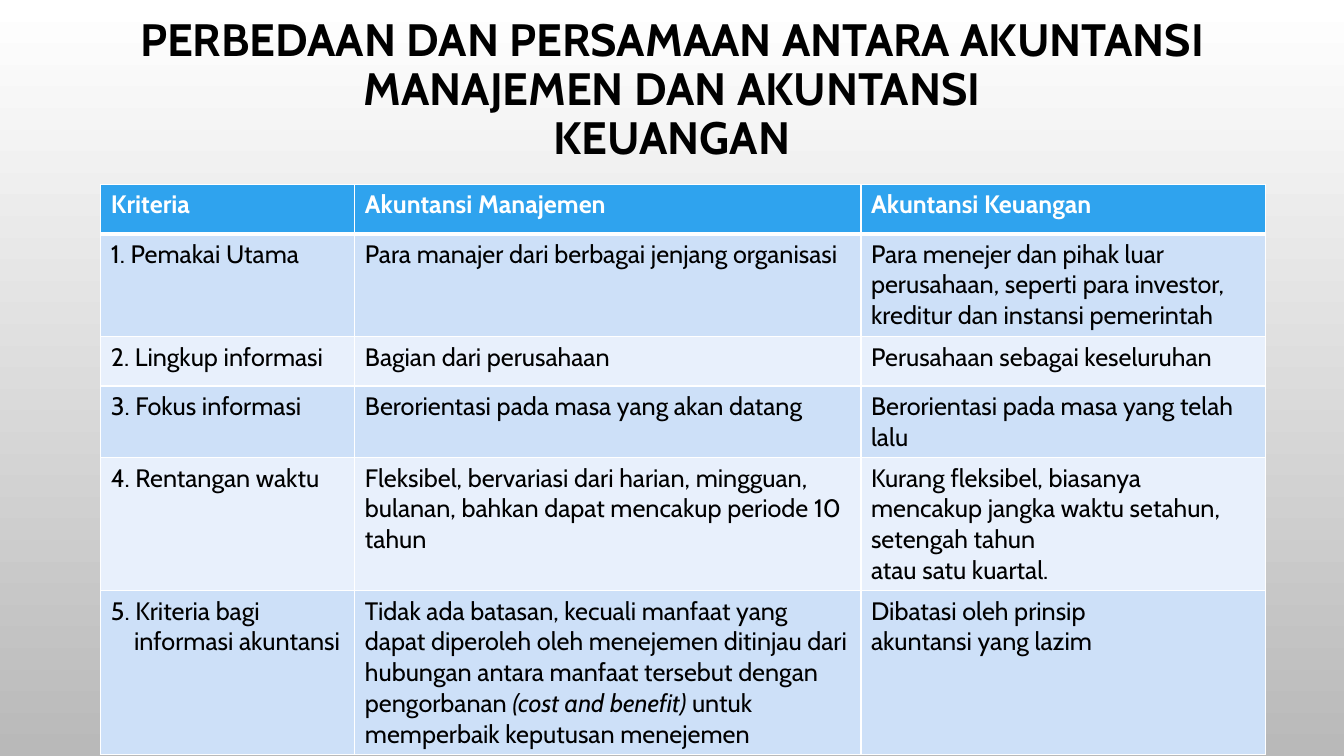
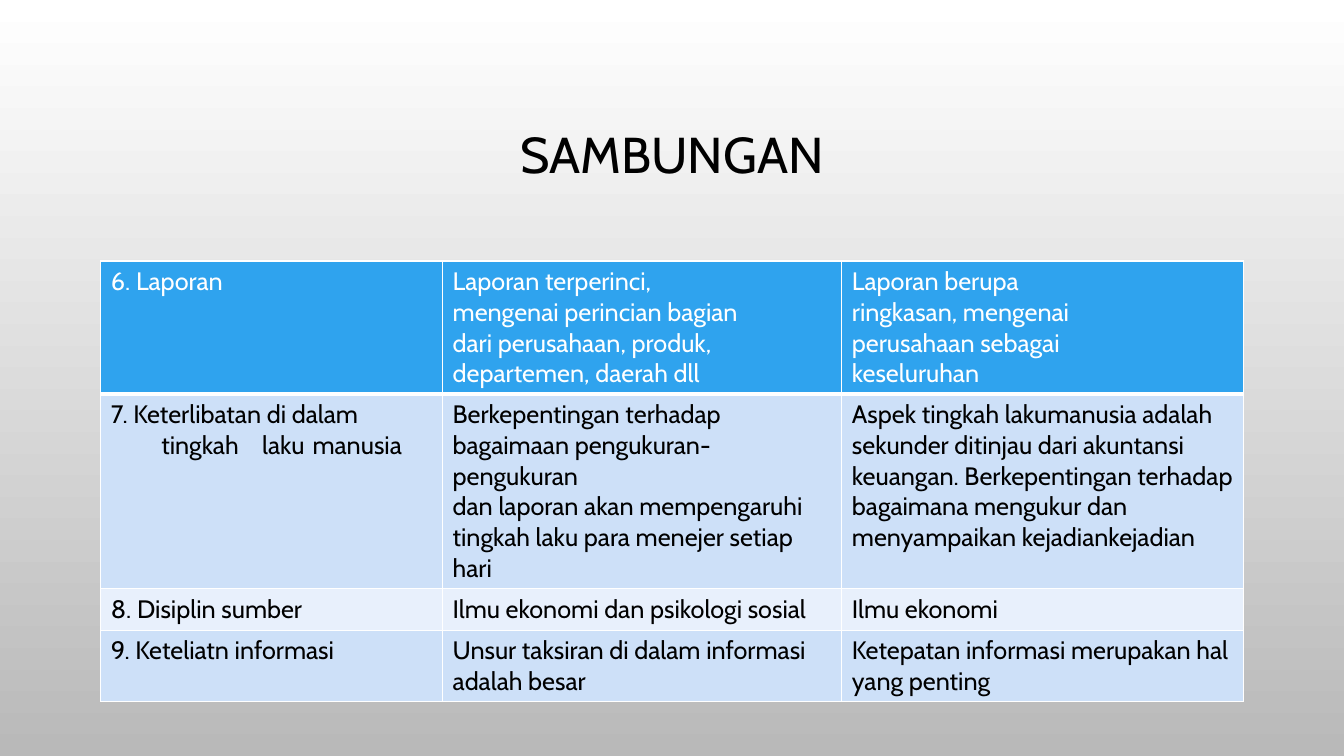
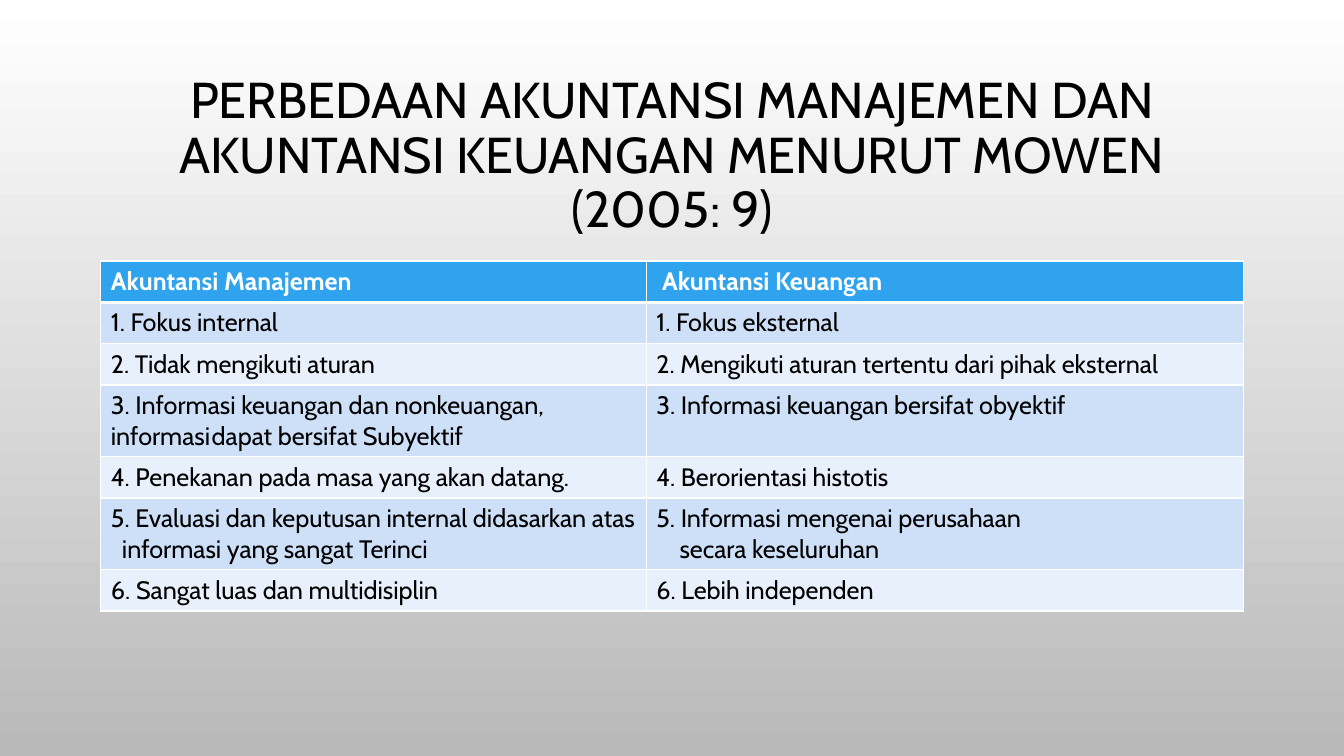
from dataclasses import dataclass

from lxml.etree import SubElement
from pptx import Presentation
from pptx.dml.color import RGBColor
from pptx.enum.text import MSO_ANCHOR, MSO_AUTO_SIZE, PP_ALIGN
from pptx.oxml.ns import qn
from pptx.util import Inches, Pt


@dataclass(frozen=True)
class Theme:
    """Colours, font and type sizes of the whole deck."""
    font: str = "Cabin"
    ink: str = "000000"
    paper: str = "FFFFFF"
    shade: str = "B9B9B9"
    header: str = "2FA3EE"
    bands: tuple = ("CDE0F8", "E8F0FC")
    title_size: float = 36
    long_title_size: float = 32.4
    table_size: float = 18
    rule: float = 1
    header_rule: float = 3


@dataclass(frozen=True)
class Line:
    """A table paragraph with its indents and tab stops in inches."""
    text: str
    left: float = 0
    first: float = 0
    tabs: tuple = ()


def apply(target, values):
    for name, value in values.items():
        setattr(target, name, value)


class Deck:
    def __init__(self, theme):
        self.theme = theme
        self.slide = None
        self.presentation = Presentation()
        apply(self.presentation, {"slide_width": Inches(13.33),
                                  "slide_height": Inches(7.5)})
        self.paint_background()

    def paint_background(self):
        fill = self.presentation.slide_master.background.fill
        fill.gradient()
        fill.gradient_angle = 270
        for stop, colour in zip(fill.gradient_stops,
                                (self.theme.paper, self.theme.shade)):
            stop.color.rgb = RGBColor.from_string(colour)

    def style_font(self, font, size, colour, **extra):
        apply(font, {"name": self.theme.font, "size": Pt(size), **extra})
        font.color.rgb = RGBColor.from_string(colour)

    def add_slide(self, heading, top=0.68, height=1.75, size=None, bold=False):
        layout = self.presentation.slide_layouts.get_by_name("Title Only")
        self.slide = self.presentation.slides.add_slide(layout)
        title = self.slide.shapes.title
        apply(title, {"left": Inches(1), "top": Inches(top),
                      "width": Inches(11.33), "height": Inches(height)})
        frame = title.text_frame
        frame.text = heading
        apply(frame, {"word_wrap": True, "auto_size": MSO_AUTO_SIZE.NONE,
                      "vertical_anchor": MSO_ANCHOR.MIDDLE})
        paragraph = frame.paragraphs[0]
        apply(paragraph, {"alignment": PP_ALIGN.CENTER, "line_spacing": 0.9})
        for run in paragraph.runs:
            self.style_font(run.font, size or self.theme.title_size,
                            self.theme.ink, bold=bold)

    def add_table(self, rows, widths, heights, top=2.59, frame_height=4.01,
                  bold_header=True):
        frame = self.slide.shapes.add_table(
            len(rows), len(widths), Inches(1), Inches(top),
            Inches(sum(widths)), Inches(frame_height))
        table = frame.table
        for column, width in zip(table.columns, widths):
            column.width = Inches(width)
        for row, height in zip(table.rows, heights):
            row.height = Inches(height)
        frame.height = Inches(frame_height)
        for index, row in enumerate(rows):
            for column, content in enumerate(row):
                self.fill_cell(table.cell(index, column), content, index,
                               bold_header)

    def fill_cell(self, cell, content, row, bold_header):
        theme = self.theme
        is_header = row == 0
        fill = theme.header if is_header else theme.bands[(row - 1) % 2]
        colour = theme.paper if is_header else theme.ink
        # The rule under the header is shared by the first two rows
        self.add_borders(cell, {
            "lnL": theme.rule, "lnR": theme.rule,
            "lnT": theme.header_rule if row == 1 else theme.rule,
            "lnB": theme.header_rule if is_header else theme.rule})
        cell.fill.solid()
        cell.fill.fore_color.rgb = RGBColor.from_string(fill)
        lines = content if isinstance(content, tuple) else (content,)
        for index, line in enumerate(lines):
            if isinstance(line, str):
                line = Line(line)
            frame = cell.text_frame
            paragraph = frame.add_paragraph() if index else frame.paragraphs[0]
            self.indent(paragraph, line)
            # Asterisks enclose italics
            for part, text in enumerate(line.text.split("*")):
                run = paragraph.add_run()
                run.text = text
                self.style_font(run.font, theme.table_size, colour,
                                bold=is_header and bold_header,
                                italic=part % 2 == 1)

    def indent(self, paragraph, line):
        if not (line.left or line.tabs):
            return
        properties = paragraph._p.get_or_add_pPr()
        properties.set("marL", str(Inches(line.left)))
        properties.set("indent", str(Inches(line.first)))
        if line.tabs:
            stops = SubElement(properties, qn("a:tabLst"))
            for position in line.tabs:
                SubElement(stops, qn("a:tab"), pos=str(Inches(position)),
                           algn="l")

    def add_borders(self, cell, edges):
        properties = cell._tc.get_or_add_tcPr()
        for edge, width in edges.items():
            border = SubElement(properties, qn(f"a:{edge}"), w=str(Pt(width)))
            paint = SubElement(border, qn("a:solidFill"))
            SubElement(paint, qn("a:srgbClr"), val=self.theme.paper)


CRITERIA = [
    ("Kriteria", "Akuntansi Manajemen", "Akuntansi Keuangan"),
    ("1. Pemakai Utama",
     "Para manajer dari berbagai jenjang organisasi",
     "Para menejer dan pihak luar perusahaan, seperti para investor, "
     "kreditur dan instansi pemerintah"),
    ("2. Lingkup informasi", "Bagian dari perusahaan",
     "Perusahaan sebagai keseluruhan"),
    ("3. Fokus informasi", "Berorientasi pada masa yang akan datang",
     "Berorientasi pada masa yang telah lalu"),
    ("4. Rentangan waktu",
     ("Fleksibel, bervariasi dari harian, mingguan,",
      "bulanan, bahkan dapat mencakup periode 10 tahun"),
     ("Kurang fleksibel, biasanya mencakup jangka waktu setahun, "
      "setengah tahun",
      "atau satu kuartal.")),
    (("5. Kriteria bagi", Line("informasi akuntansi", left=0.23)),
     ("Tidak ada batasan, kecuali manfaat yang dapat diperoleh oleh "
      "menejemen ditinjau dari hubungan antara manfaat tersebut dengan",
      "pengorbanan *(cost and benefit) *untuk memperbaik keputusan menejemen"),
     ("Dibatasi oleh prinsip", "akuntansi yang lazim")),
]

CRITERIA_CONTINUED = [
    ("6. Laporan",
     ("Laporan terperinci,", "mengenai perincian bagian",
      "dari perusahaan, produk,", "departemen, daerah dll"),
     ("Laporan berupa", "ringkasan, mengenai", "perusahaan sebagai",
      "keseluruhan")),
    (("7. Keterlibatan di dalam",
      Line("\ttingkah\tlaku\tmanusia", tabs=(0.23, 1.22, 1.75))),
     ("Berkepentingan terhadap", "bagaimaan pengukuran-pengukuran",
      "dan laporan akan mempengaruhi tingkah laku para menejer setiap hari"),
     ("Aspek tingkah lakumanusia adalah",
      "sekunder ditinjau dari akuntansi keuangan. Berkepentingan terhadap",
      "bagaimana mengukur dan", "menyampaikan kejadiankejadian")),
    ("8. Disiplin sumber", "Ilmu ekonomi dan psikologi sosial",
     "Ilmu ekonomi"),
    ("9. Keteliatn informasi",
     "Unsur taksiran di dalam informasi adalah besar",
     "Ketepatan informasi merupakan hal yang penting"),
]

MOWEN_COMPARISON = [
    ("Akuntansi Manajemen", " Akuntansi Keuangan"),
    ("1. Fokus internal", "1. Fokus eksternal"),
    ("2. Tidak mengikuti aturan",
     "2. Mengikuti aturan tertentu dari pihak eksternal"),
    (Line("3. Informasi keuangan dan nonkeuangan, "
          "informasi\tdapat bersifat Subyektif", tabs=(1.32,)),
     "3. Informasi keuangan bersifat obyektif"),
    ("4. Penekanan pada masa yang akan datang.", "4. Berorientasi histotis"),
    (Line("5. Evaluasi dan keputusan internal didasarkan atas "
          "informasi yang sangat Terinci", left=0.11, first=-0.11),
     ("5. Informasi mengenai perusahaan",
      Line("secara keseluruhan", left=0.23))),
    ("6. Sangat luas dan multidisiplin", "6. Lebih independen"),
]


def main():
    theme = Theme()
    deck = Deck(theme)

    # Criteria 1 to 5
    deck.add_slide("PERBEDAAN DAN PERSAMAAN ANTARA AKUNTANSI MANAJEMEN "
                   "DAN AKUNTANSI\vKEUANGAN", top=0.21, height=1.38,
                   size=theme.long_title_size, bold=True)
    deck.add_table(CRITERIA, (2.52, 5.02, 4.01),
                   (0.49, 1.02, 0.49, 0.49, 0.49, 0.85),
                   top=1.83, frame_height=5.3)

    # Criteria 6 to 9
    deck.add_slide("SAMBUNGAN")
    deck.add_table(CRITERIA_CONTINUED, (3.39, 3.96, 3.98),
                   [0.41] * len(CRITERIA_CONTINUED), bold_header=False)

    # Comparison after Mowen
    deck.add_slide("PERBEDAAN AKUNTANSI MANAJEMEN DAN AKUNTANSI KEUANGAN "
                   "MENURUT MOWEN\v(2005: 9)")
    deck.add_table(MOWEN_COMPARISON, (5.41, 5.92),
                   [0.41] * len(MOWEN_COMPARISON), frame_height=3.43)

    deck.presentation.save("out.pptx")


if __name__ == "__main__":
    main()
